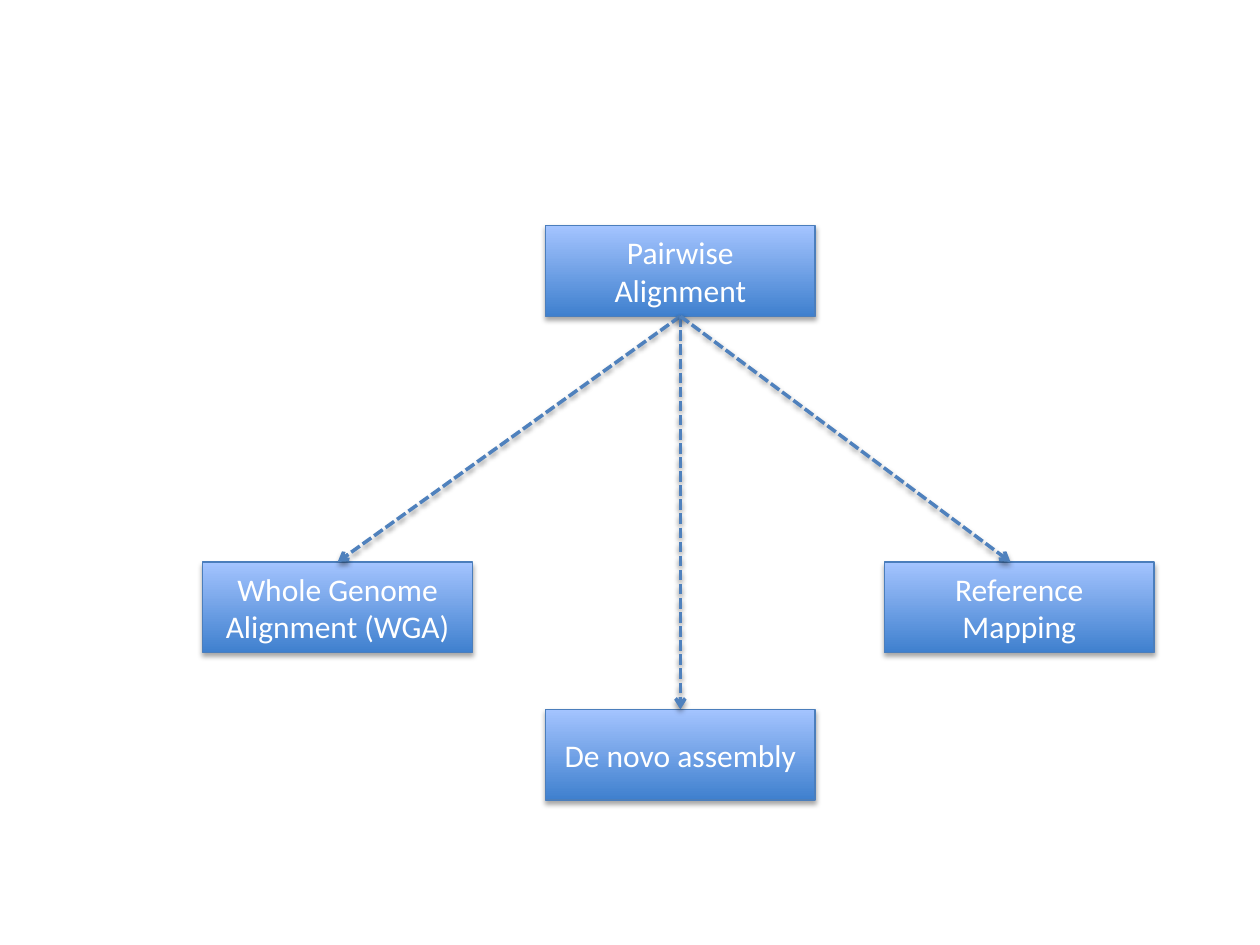
from lxml.etree import SubElement
from pptx import Presentation
from pptx.dml.color import RGBColor
from pptx.enum.dml import MSO_LINE
from pptx.enum.shapes import MSO_CONNECTOR, MSO_SHAPE
from pptx.enum.text import MSO_ANCHOR, PP_ALIGN
from pptx.oxml.ns import qn
from pptx.util import Inches, Pt

HUES = {"dark": "3F80CE", "light": "A4C4FF", "edge": "4B7EBC",
        "arrow": "4F81BD", "text": "FFFFFF", "shade": "000000"}
WIDE, HIGH = 2.14, 0.72
MID, ROW = 4.33, 4.46
FONT = {"name": "Calibri", "size": Pt(18)}
BOX_LINE = {"width": Pt(0.75)}
DASH = {"width": Pt(2), "dash_style": MSO_LINE.SQUARE_DOT}


def hue(name):
    return RGBColor.from_string(HUES[name])


def style(item, form):
    for key, val in form.items():
        setattr(item, key, val)


def shade(item, dist, alpha):
    """Add a soft shadow straight below; call after the line is set."""
    effects = SubElement(item._element.spPr, qn("a:effectLst"))
    outer = SubElement(effects, qn("a:outerShdw"), blurRad=str(Pt(3.1)),
                       dist=str(Pt(dist)), dir="5400000", rotWithShape="0")
    color = SubElement(outer, qn("a:srgbClr"), val=HUES["shade"])
    SubElement(color, qn("a:alpha"), val=str(alpha * 1000))


def add_box(slide, text, left, top):
    box = slide.shapes.add_shape(MSO_SHAPE.RECTANGLE, Inches(left), Inches(top),
                                 Inches(WIDE), Inches(HIGH))
    # Dark at the foot, light at the top
    box.fill.gradient()
    box.fill.gradient_angle = 90
    for stop, name in zip(box.fill.gradient_stops, ("dark", "light")):
        stop.color.rgb = hue(name)
    style(box.line, BOX_LINE)
    box.line.color.rgb = hue("edge")
    shade(box, 1.8, 35)
    # Centred label
    frame = box.text_frame
    style(frame, {"word_wrap": True, "vertical_anchor": MSO_ANCHOR.MIDDLE})
    frame.text = text
    para = frame.paragraphs[0]
    para.alignment = PP_ALIGN.CENTER
    style(para.font, FONT)
    para.font.color.rgb = hue("text")
    return box


def add_arrow(slide, start, end, x, y):
    """Run from the foot of start to (x, y), joined to end if there is one."""
    line = slide.shapes.add_connector(
        MSO_CONNECTOR.STRAIGHT, Inches(MID + WIDE / 2), start.top + start.height,
        Inches(x), Inches(y))
    line.begin_connect(start, 2)
    if end is not None:
        line.end_connect(end, 0)
    line.line.color.rgb = hue("arrow")
    style(line.line, DASH)
    SubElement(line.line._get_or_add_ln(), qn("a:tailEnd"), type="arrow")
    shade(line, 1.6, 38)


def main():
    deck = Presentation()
    style(deck, {"slide_width": Inches(10), "slide_height": Inches(7.5)})
    slide = deck.slides.add_slide(deck.slide_layouts[6])

    # Root and its three uses
    root = add_box(slide, "Pairwise Alignment", MID, 1.79)
    whole = add_box(slide, "Whole Genome Alignment (WGA)", 1.61, ROW)
    novo = add_box(slide, "De novo assembly", MID, 5.63)
    add_box(slide, "Reference Mapping", 7.02, ROW)

    # Dashed arrows; the last ends just left of its box's middle
    for end, x, y in ((whole, 2.68, ROW), (novo, 5.4, 5.63), (None, 8.02, ROW)):
        add_arrow(slide, root, end, x, y)

    deck.save("out.pptx")


if __name__ == "__main__":
    main()
